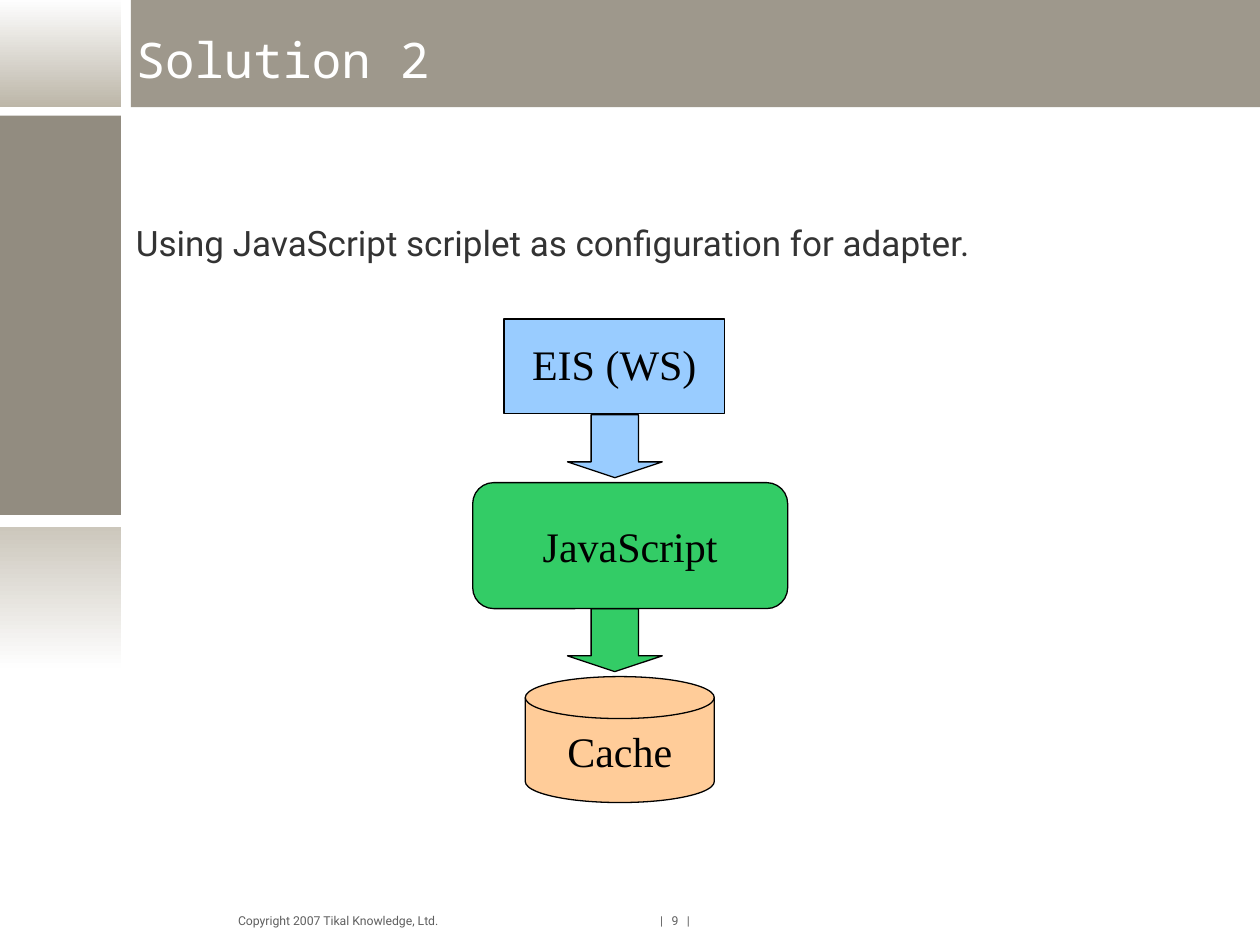
from dataclasses import dataclass

from pptx import Presentation
from pptx import util as u
from pptx.dml.color import RGBColor
from pptx.enum import shapes, text
from pptx.oxml import parse_xml
from pptx.oxml.ns import nsdecls

Cm, Pt = u.Cm, u.Pt
KIND = shapes.MSO_SHAPE


@dataclass(frozen=True)
class Theme:
    band: str = "9E988C"
    sidebar: str = "928C80"
    top_fade: tuple = ("FEFEFE", "BCB6A8")
    bottom_fade: tuple = ("CCC7BC", "FEFEFE")
    blue: str = "99CCFF"
    green: str = "33CC66"
    orange: str = "FFCC99"
    outline: str = "000000"
    title: tuple = ("Noto Sans Mono", 28, "FFFFFF")
    body: tuple = ("Roboto", 20, "333333")
    label: tuple = ("Times New Roman", 24, "000000")
    footer: tuple = ("Roboto", 7, "5F5F5F")


THEME = Theme()


def set_attributes(target, values):
    for name, value in values.items():
        setattr(target, name, value)


def write(frame, words, style, margins=(0, 0), tabs=(), anchor="MIDDLE", **paragraph_format):
    side, top = margins
    set_attributes(frame, {
        "word_wrap": True,
        "vertical_anchor": getattr(text.MSO_ANCHOR, anchor),
        "margin_left": Cm(side), "margin_right": Cm(side),
        "margin_top": Cm(top), "margin_bottom": Cm(top),
    })
    paragraph = frame.paragraphs[0]
    paragraph.text = words
    set_attributes(paragraph, paragraph_format)
    if tabs:
        stops = "".join(f'<a:tab pos="{Cm(tab)}" algn="l"/>' for tab in tabs)
        paragraph._p.get_or_add_pPr().append(
            parse_xml(f"<a:tabLst {nsdecls('a')}>{stops}</a:tabLst>"))
    face, size, colour = style
    font = paragraph.runs[0].font
    set_attributes(font, {"name": face, "size": Pt(size)})
    font.color.rgb = RGBColor.from_string(colour)


def add_block(slide, kind, box, fill, line_width=None):
    """Draw a preset shape; a pair of colours gives a top-to-bottom fade."""
    block = slide.shapes.add_shape(kind, *map(Cm, box))
    block.shadow.inherit = False
    if isinstance(fill, tuple):
        block.fill.gradient()
        block.fill.gradient_angle = 270
        for stop, colour in zip(block.fill.gradient_stops, fill):
            stop.color.rgb = RGBColor.from_string(colour)
    else:
        block.fill.solid()
        block.fill.fore_color.rgb = RGBColor.from_string(fill)
    if line_width is None:
        block.line.fill.background()
    else:
        block.line.color.rgb = RGBColor.from_string(THEME.outline)
        block.line.width = Pt(line_width)
    return block


def add_words(slide, box, words, style, **options):
    write(slide.shapes.add_textbox(*map(Cm, box)).text_frame, words, style, **options)


def add_sidebar(slide, box):
    left, top, width = box
    panels = [(0, 2.16, THEME.top_fade), (2.33, 8.05, THEME.sidebar),
              (10.62, 2.84, THEME.bottom_fade)]
    for offset, height, fill in panels:
        add_block(slide, KIND.RECTANGLE, (left, top + offset, width, height), fill)


def add_header(slide, box, title):
    left, top, width, height = box
    add_block(slide, KIND.RECTANGLE, box, THEME.band)
    add_words(slide, (left + 0.1, top + 0.53, width - 0.97, height - 0.74),
              title, THEME.title, line_spacing=0.95)


def add_flow(slide, box):
    """Stack the steps and arrows of the data flow down the box."""
    left, top, width = box
    arrow_left, arrow_width, arrow_height = 1.91, 1.91, 1.27

    # Arrows, each in the colour of the step it leaves
    for offset, fill in [(1.93, THEME.blue), (5.84, THEME.green)]:
        add_block(slide, KIND.DOWN_ARROW,
                  (left + arrow_left, top + offset, arrow_width, arrow_height), fill, 0.75
                  ).adjustments[1] = 0.25

    # Steps: kind, offset from the box, size, fill, line width, label, spacing
    steps = [
        (KIND.RECTANGLE, 0.63, 0, 4.45, 1.91, THEME.blue, 0.75, "EIS (WS)", 0.93),
        (KIND.FLOWCHART_ALTERNATE_PROCESS, 0, 3.3, width, 2.54, THEME.green, 0,
         "JavaScript", 1.02),
        (KIND.FLOWCHART_MAGNETIC_DISK, 1.06, 7.21, 3.81, 2.54, THEME.orange, 0.75,
         "Cache", 1.02),
    ]
    for kind, x, y, step_width, step_height, fill, line_width, label, spacing in steps:
        step = add_block(slide, kind, (left + x, top + y, step_width, step_height),
                         fill, line_width)
        write(step.text_frame, label, THEME.label, margins=(0.25, 0.13),
              alignment=text.PP_ALIGN.CENTER, line_spacing=spacing)


def add_footer(slide, box):
    add_words(slide, box, "Copyright 2007 Tikal Knowledge, Ltd.\t|\t9\t|", THEME.footer,
              margins=(0.25, 0.13), tabs=(8.51, 8.74, 9.05), anchor="TOP")


def main():
    deck = Presentation()
    set_attributes(deck, {"slide_width": Cm(25.4), "slide_height": Cm(19.05)})
    slide = deck.slides.add_slide(deck.slide_layouts[6])

    add_header(slide, (2.64, 0, 22.76, 2.16), "Solution 2")
    add_sidebar(slide, (-0.1, 0, 2.54))
    add_words(slide, (2.74, 4.51, 22.2, 0.83),
              "Using JavaScript scriplet as configuration for adapter.",
              THEME.body, anchor="TOP", line_spacing=0.98)
    add_flow(slide, (9.53, 6.43, 6.35))
    add_footer(slide, (4.55, 18.29, 11.02, 0.58))

    deck.save("out.pptx")


if __name__ == "__main__":
    main()
